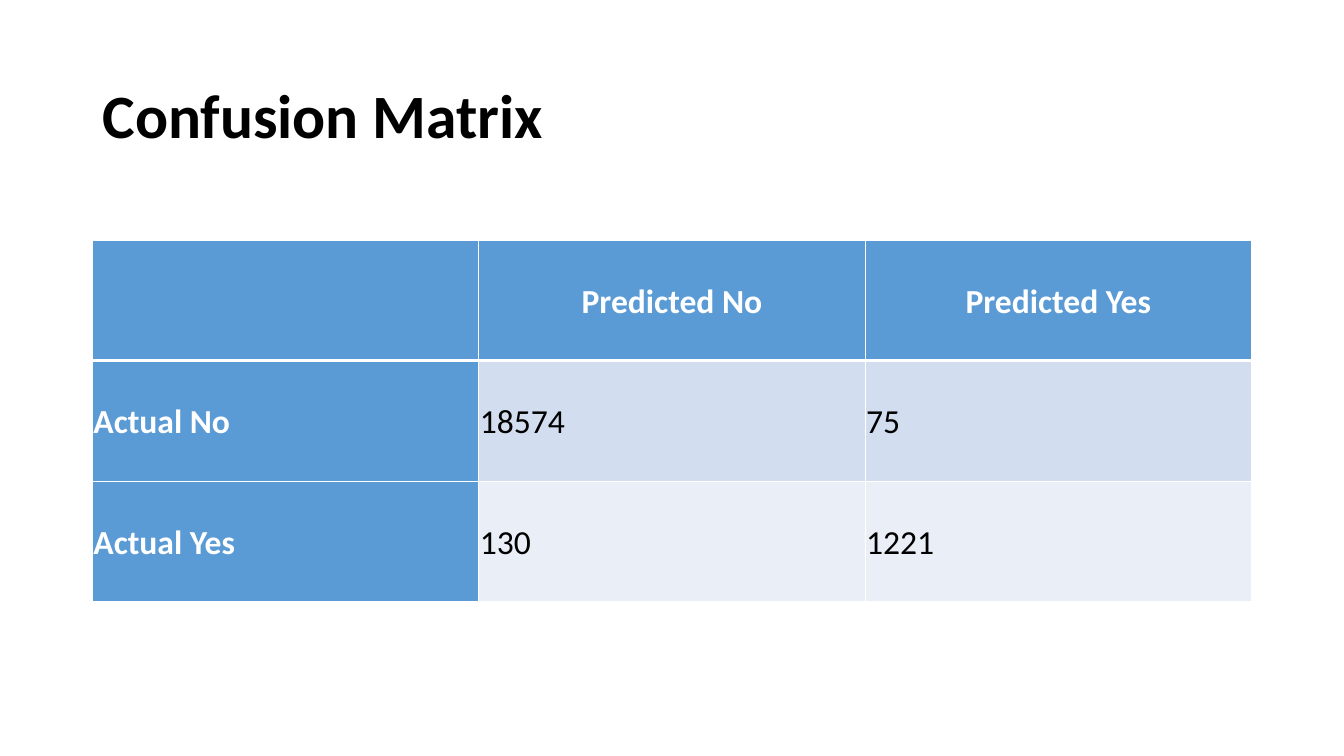
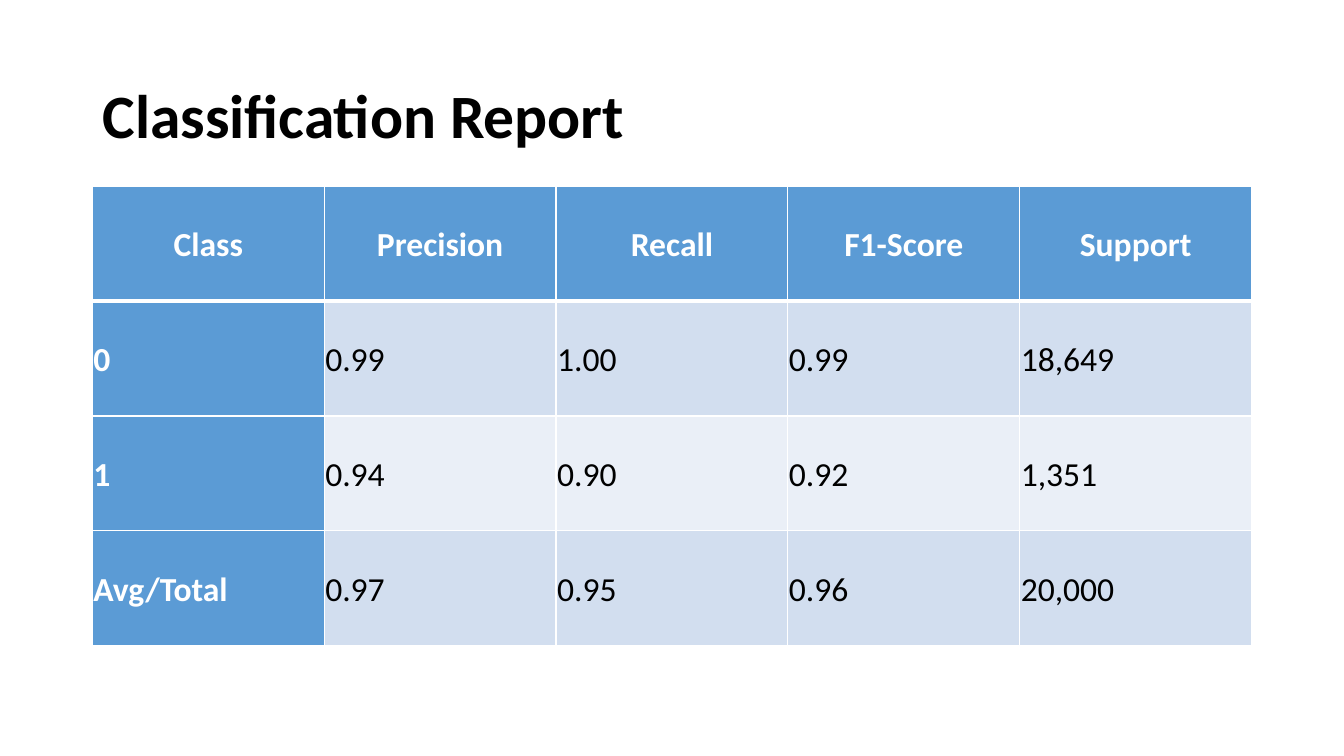
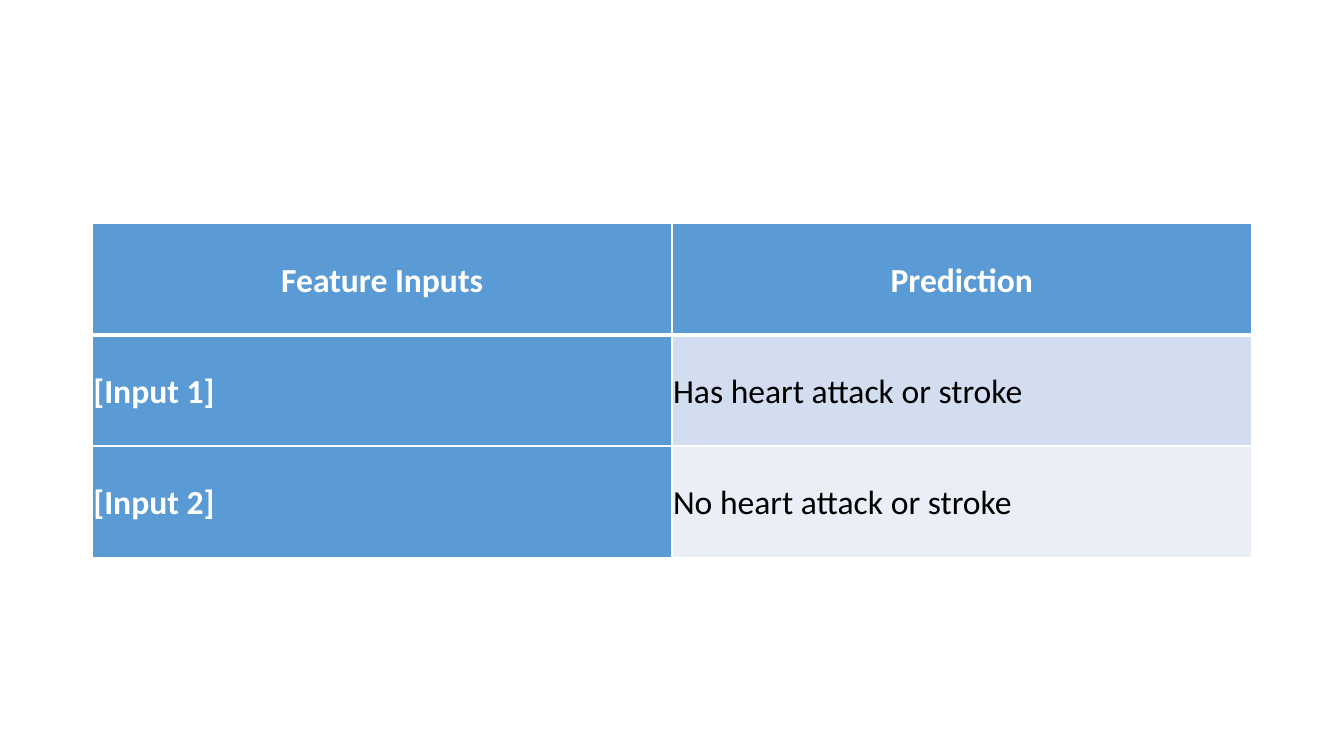
from dataclasses import dataclass

from lxml import etree
from pptx import Presentation
from pptx.dml import color
from pptx.enum import text
from pptx.oxml import ns
from pptx.util import Pt


@dataclass(frozen=True)
class Theme:
    font: str = "Calibri"
    title_size: float = 44
    cell_size: float = 24
    ink: str = "000000"
    paper: str = "FFFFFF"
    accent: str = "5B9BD5"
    bands: tuple = ("D2DEEF", "EAEFF7")
    rule: float = 1
    header_rule: float = 3
    left: float = 66
    width: float = 828
    cell_inset: float = 0.75
    cell_spacing: float = 1.07


THEME = Theme()
TITLE_ONLY, BLANK = 5, 6


def write(frame, words, *, size, ink, bold=False, align=text.PP_ALIGN.LEFT, spacing=None):
    paragraph = frame.paragraphs[0]
    paragraph.alignment = align
    paragraph.line_spacing = spacing
    run = paragraph.add_run()
    run.text = words
    run.font.name = THEME.font
    run.font.size = Pt(size)
    run.font.bold = bold
    run.font.color.rgb = color.RGBColor.from_string(ink)


class Deck:
    def __init__(self, theme):
        self.theme = theme
        self.presentation = Presentation()
        self.presentation.slide_width = Pt(960)
        self.presentation.slide_height = Pt(540)
        self.slide = None

    def new_slide(self, title=None):
        layout = self.presentation.slide_layouts[TITLE_ONLY if title else BLANK]
        self.slide = self.presentation.slides.add_slide(layout)
        if title:
            self.title(title)

    def title(self, words):
        heading = self.slide.shapes.title
        heading.left, heading.top = Pt(self.theme.left), Pt(28.8)
        heading.width, heading.height = Pt(self.theme.width), Pt(104.4)
        heading.text_frame.vertical_anchor = text.MSO_ANCHOR.MIDDLE
        write(heading.text_frame, words, size=self.theme.title_size,
              ink=self.theme.ink, bold=True)

    def borders(self, cell, row):
        thick, thin = self.theme.header_rule, self.theme.rule
        weights = {"L": thin, "R": thin,
                   "T": thick if row == 1 else thin,
                   "B": thick if row == 0 else thin}
        properties = cell._tc.get_or_add_tcPr()
        for side, weight in weights.items():
            line = etree.SubElement(properties, ns.qn(f"a:ln{side}"), w=str(Pt(weight)))
            fill = etree.SubElement(line, ns.qn("a:solidFill"))
            etree.SubElement(fill, ns.qn("a:srgbClr"), val=self.theme.paper)

    def cell(self, cell, words, row, column):
        theme = self.theme
        is_heading = row == 0 or column == 0
        self.borders(cell, row)
        cell.fill.solid()
        cell.fill.fore_color.rgb = color.RGBColor.from_string(
            theme.accent if is_heading else theme.bands[(row - 1) % 2])
        cell.vertical_anchor = text.MSO_ANCHOR.MIDDLE
        cell.margin_left = cell.margin_right = Pt(theme.cell_inset)
        cell.margin_top = cell.margin_bottom = Pt(theme.cell_inset)
        if words:
            write(cell.text_frame, words, size=theme.cell_size,
                  ink=theme.paper if is_heading else theme.ink, bold=is_heading,
                  align=text.PP_ALIGN.LEFT if row else text.PP_ALIGN.CENTER,
                  spacing=theme.cell_spacing)

    def table(self, rows, top, row_height):
        grid = self.slide.shapes.add_table(
            len(rows), len(rows[0]), Pt(self.theme.left), Pt(top),
            Pt(self.theme.width), Pt(row_height * len(rows))).table
        for row, entries in enumerate(rows):
            for column, words in enumerate(entries):
                self.cell(grid.cell(row, column), words, row, column)


def main():
    deck = Deck(THEME)

    deck.new_slide("Confusion Matrix")
    deck.table([
        ("", "Predicted No", "Predicted Yes"),
        ("Actual No", "18574", "75"),
        ("Actual Yes", "130", "1221"),
    ], top=171.4, row_height=86.2)

    deck.new_slide("Classification Report")
    deck.table([
        ("Class", "Precision", "Recall", "F1-Score", "Support"),
        ("0", "0.99", "1.00", "0.99", "18,649"),
        ("1", "0.94", "0.90", "0.92", "1,351"),
        ("Avg/Total", "0.97", "0.95", "0.96", "20,000"),
    ], top=133.2, row_height=82)

    deck.new_slide()
    deck.table([
        ("Feature Inputs", "Prediction"),
        ("[Input 1]", "Has heart attack or stroke"),
        ("[Input 2]", "No heart attack or stroke"),
    ], top=159.8, row_height=79.4)

    deck.presentation.save("out.pptx")


if __name__ == "__main__":
    main()
